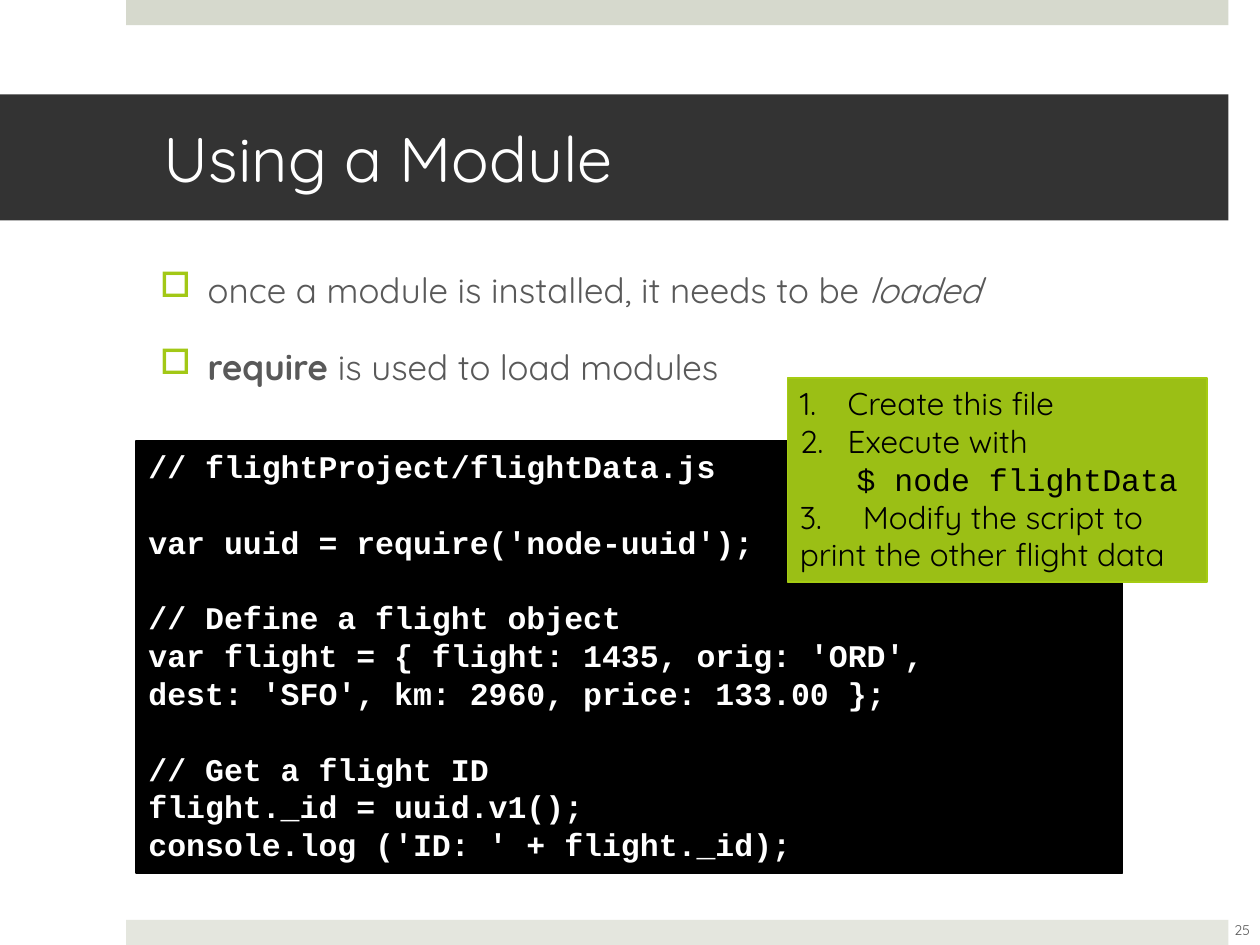
import pptx
import pptx.dml.color
import pptx.enum.shapes
import pptx.enum.text
import pptx.oxml.ns
import pptx.util
from lxml import etree
from pptx.dml.color import RGBColor
from pptx.util import Inches, Pt

WHITE = RGBColor(0xFF, 0xFF, 0xFF)
BLACK = RGBColor(0, 0, 0)
TOP_BAND = RGBColor(0xD6, 0xD9, 0xCD)
BOTTOM_BAND = RGBColor(0xE4, 0xE6, 0xDE)
CHARCOAL = RGBColor(0x33, 0x33, 0x33)
GRAY = RGBColor(0x59, 0x59, 0x59)
GREEN = RGBColor(0x9B, 0xBF, 0x15)
GREEN_LINE = RGBColor(0xA5, 0xCC, 0x12)
BULLET_GREEN = RGBColor(0xA2, 0xC8, 0x16)
SANS = "Quicksand"
MONO = "Courier New"
LINE_FACTOR = 1.2
HANGING = Inches(0.38)

# Each block starts after a gap of one line.
CODE_BLOCKS = [
    ["// flightProject/flightData.js"],
    ["var uuid = require('node-uuid');"],
    ["// Define a flight object",
     "var flight = { flight: 1435, orig: 'ORD', \v"
     "dest: 'SFO', km: 2960, price: 133.00 };"],
    ["// Get a flight ID",
     "flight._id = uuid.v1();",
     "console.log ('ID: ' + flight._id);"],
]


def add_panel(page, left, top, width, height, fill, line=None):
    """Add a flat rectangle that can hold text from its top left corner."""
    panel = page.shapes.add_shape(
        pptx.enum.shapes.MSO_SHAPE.RECTANGLE,
        Inches(left), Inches(top), Inches(width), Inches(height))
    panel.shadow.inherit = False
    panel.fill.solid()
    panel.fill.fore_color.rgb = fill
    if line is None:
        panel.line.fill.background()
    else:
        panel.line.color.rgb = line
        panel.line.width = Pt(1)
    panel.text_frame.word_wrap = True
    panel.text_frame.vertical_anchor = pptx.enum.text.MSO_ANCHOR.TOP
    return panel


def add_text_box(page, left, top, width, height):
    """Add a wrapping text box and return it."""
    box = page.shapes.add_textbox(
        Inches(left), Inches(top), Inches(width), Inches(height))
    box.text_frame.word_wrap = True
    return box


def add_paragraph(box, text, size, color, font=SANS, bold=None, before=0):
    """Write text into the first empty paragraph or a new one."""
    frame = box.text_frame
    para = frame.paragraphs[0] if not frame.text else frame.add_paragraph()
    para.text = text
    para.alignment = pptx.enum.text.PP_ALIGN.LEFT
    para.line_spacing = Pt(size * LINE_FACTOR)
    para.space_before = Pt(before)
    para.font.name = font
    para.font.size = Pt(size)
    para.font.bold = bold
    para.font.color.rgb = color
    return para


def add_property(parent, tag, **attributes):
    """Append a drawing element with the given attributes."""
    return etree.SubElement(parent, pptx.oxml.ns.qn(tag), **attributes)


def set_indent(para, margin, first_line=0):
    """Set the left margin and first-line offset; return the properties."""
    properties = para._p.get_or_add_pPr()
    properties.set("marL", str(margin))
    properties.set("indent", str(first_line))
    return properties


def add_bullet_point(box, parts, before):
    """Add a square-bulleted paragraph of (text, bold, italic) parts."""
    para = add_paragraph(box, parts[0][0], 20, GRAY, before=before)
    for text, _, _ in parts[1:]:
        para.add_run().text = text
    for span, (_, bold, italic) in zip(para.runs, parts):
        span.font.bold = bold
        span.font.italic = italic
    properties = set_indent(para, HANGING, -HANGING)
    bullet_color = add_property(properties, "a:buClr")
    add_property(bullet_color, "a:srgbClr", val=str(BULLET_GREEN))
    add_property(properties, "a:buChar", char="\u25a1")


def add_title(page):
    """Add the dark title bar."""
    bar = add_panel(page, 0, 0.75, 9.75, 1, CHARCOAL)
    bar.text_frame.margin_left = Inches(1.3)
    bar.text_frame.margin_right = Inches(0.3)
    bar.text_frame.vertical_anchor = pptx.enum.text.MSO_ANCHOR.MIDDLE
    add_paragraph(bar, "Using a Module", 36, WHITE)


def add_body(page):
    """Add the two bullet points."""
    body = add_text_box(page, 1.17, 2.08, 8.32, 4.52)
    add_bullet_point(body, [
        ("once a module is installed, it needs to be ", False, False),
        ("loaded", False, True)], before=0)
    add_bullet_point(body, [
        ("require ", True, False),
        ("is used to load modules", False, False)], before=20)


def add_page_number(page):
    """Add the page number in the lower right corner."""
    box = add_text_box(page, 9.61, 7.18, 0.5, 0.4)
    box.text_frame.vertical_anchor = pptx.enum.text.MSO_ANCHOR.MIDDLE
    number = add_paragraph(box, "25", 8, GRAY)
    number.alignment = pptx.enum.text.PP_ALIGN.CENTER


def add_code(page):
    """Add the black code listing."""
    panel = add_panel(page, 1.08, 3.5, 7.83, 3.43, BLACK, BLACK)
    for block_index, block in enumerate(CODE_BLOCKS):
        for line_index, text in enumerate(block):
            starts_block = block_index > 0 and line_index == 0
            add_paragraph(panel, text, 18, WHITE, MONO, True,
                          18 * LINE_FACTOR if starts_block else 0)


def add_steps(page):
    """Add the green box with the numbered steps."""
    panel = add_panel(page, 6.25, 3, 3.33, 1.62, GREEN, GREEN_LINE)
    for text in ("Create this file", "Execute with"):
        step = add_paragraph(panel, text, 18, BLACK)
        properties = set_indent(step, HANGING, -HANGING)
        add_property(properties, "a:buFont", typeface=SANS)
        add_property(properties, "a:buAutoNum", type="arabicPeriod")
    command = add_paragraph(panel, "$ node flightData", 18, BLACK, MONO)
    set_indent(command, Inches(0.45))
    last_step = add_paragraph(
        panel, "3.\tModify the script to print the other flight data",
        18, BLACK)
    tabs = add_property(set_indent(last_step, 0), "a:tabLst")
    add_property(tabs, "a:tab", pos=str(HANGING), algn="l")
    # Tab stops come before the default run properties.
    properties = last_step._p.get_or_add_pPr()
    defaults = properties.find(pptx.oxml.ns.qn("a:defRPr"))
    if defaults is not None:
        properties.append(defaults)
    for para in panel.text_frame.paragraphs[:2]:
        properties = para._p.get_or_add_pPr()
        defaults = properties.find(pptx.oxml.ns.qn("a:defRPr"))
        if defaults is not None:
            properties.append(defaults)


def order_defaults(page):
    """Keep default run properties last in every paragraph's properties."""
    for defaults in list(page.shapes._spTree.iter(pptx.oxml.ns.qn("a:defRPr"))):
        defaults.getparent().append(defaults)


def main():
    """Build and save the slide."""
    deck = pptx.Presentation()
    deck.slide_width = Inches(10)
    deck.slide_height = Inches(7.5)
    page = deck.slides.add_slide(deck.slide_layouts[6])
    add_panel(page, 1, 0, 8.75, 0.2, TOP_BAND)
    add_panel(page, 1, 7.3, 8.75, 0.2, BOTTOM_BAND)
    add_title(page)
    add_body(page)
    add_page_number(page)
    add_code(page)
    add_steps(page)
    order_defaults(page)
    deck.save("out.pptx")


main()
